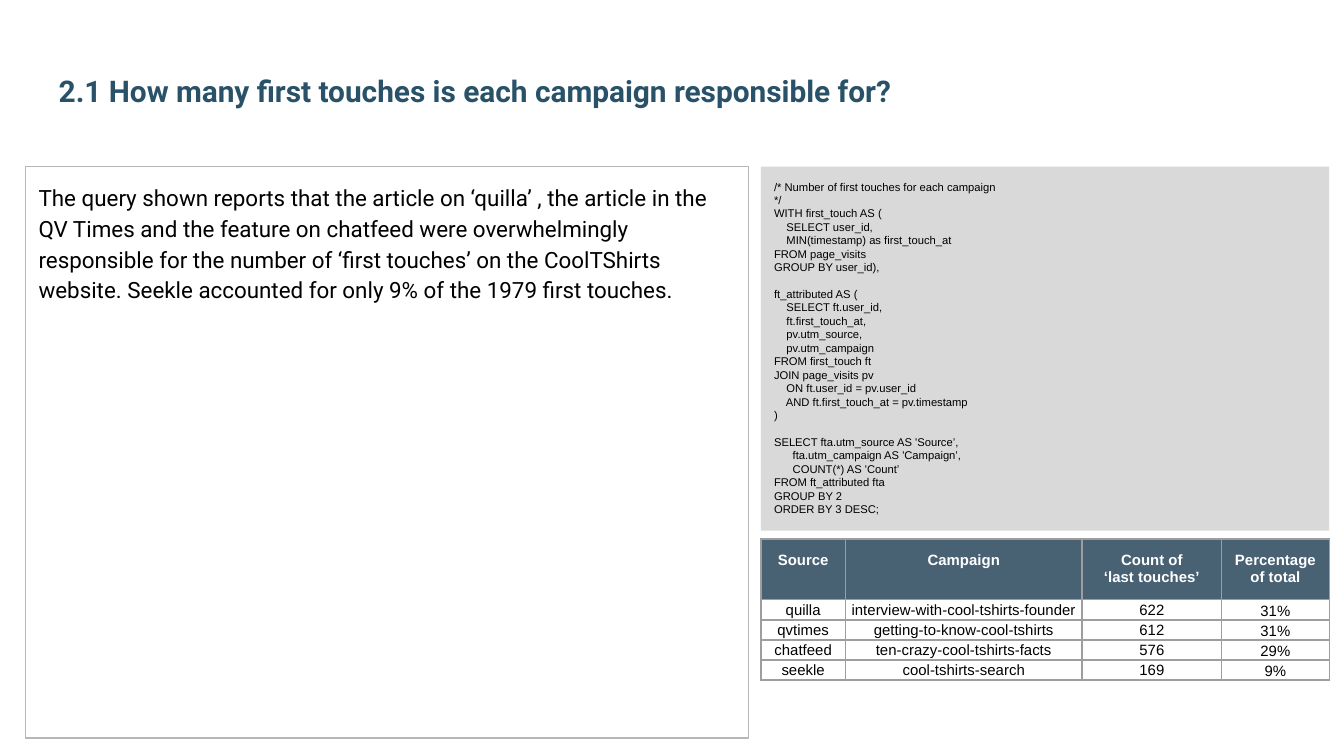
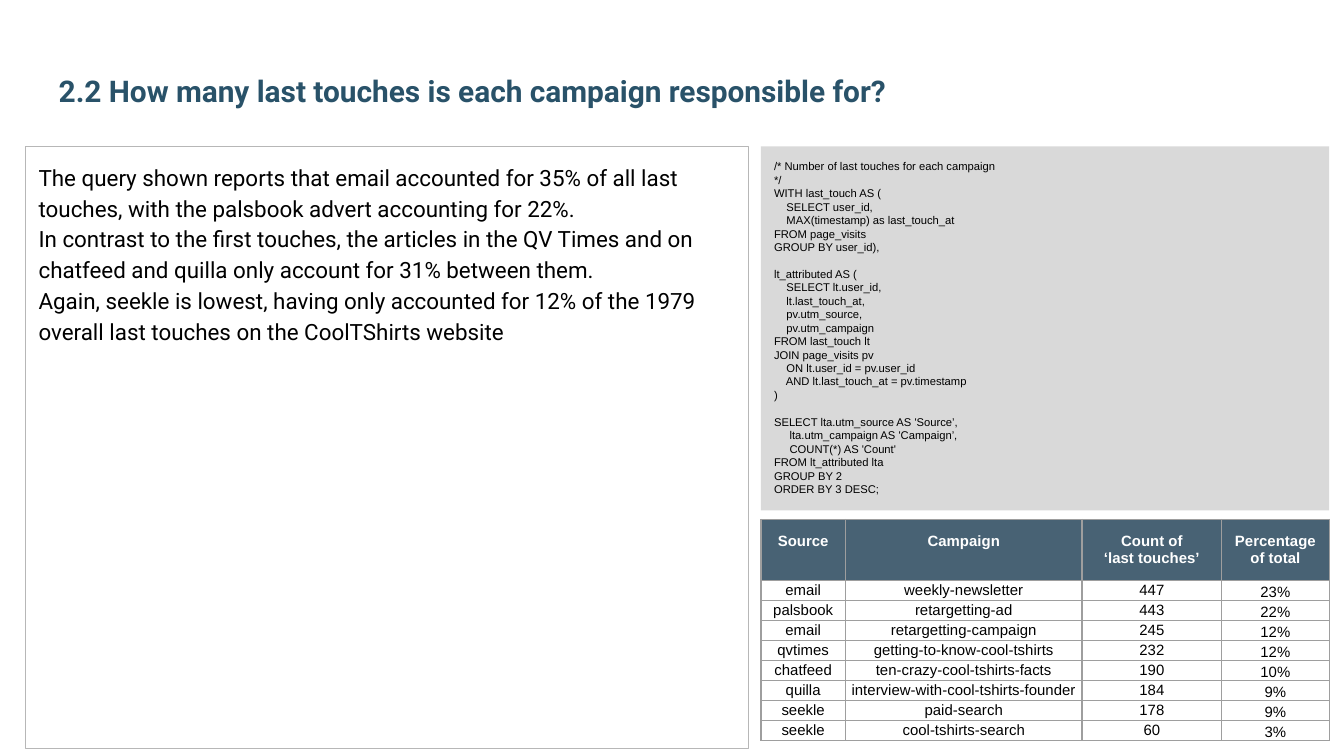
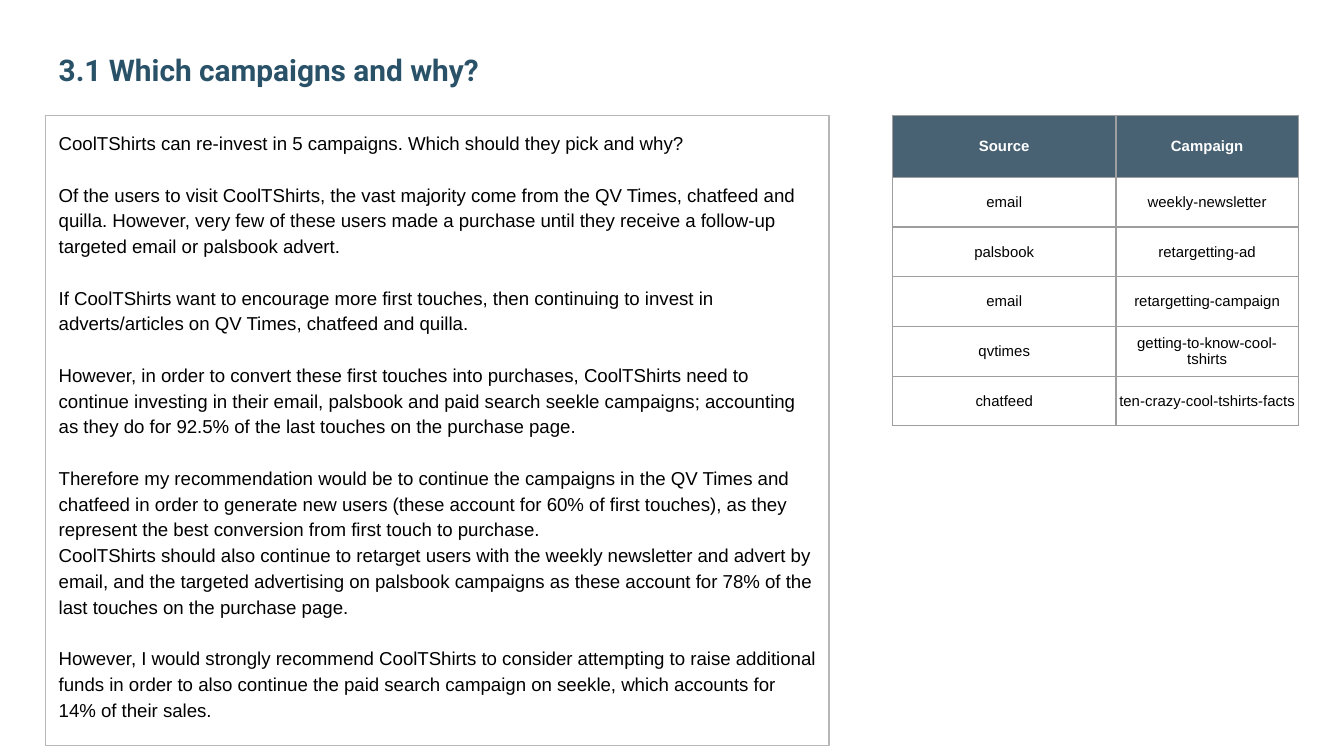
from dataclasses import dataclass

from lxml import etree
from pptx import Presentation
from pptx import util as u
from pptx.dml import color
from pptx.enum import shapes, text
from pptx.oxml import ns

LINE = 1.2  # height of a line of text, in font sizes
INK, WHITE, TITLE = "000000", "FFFFFF", "295269"
CODE, EDGE, HEAD, GRID = "D9D9D9", "B7B7B7", "204056", "9E9E9E"
TOP, MID, LOW = (text.MSO_ANCHOR.TOP, text.MSO_ANCHOR.MIDDLE,
                 text.MSO_ANCHOR.BOTTOM)
LEFT, MIDDLE = text.PP_ALIGN.LEFT, text.PP_ALIGN.CENTER
PAD, THIN = 0.25, 0.03  # insets in cm


@dataclass
class Style:
    size: float
    font: str = "Arial"
    hue: str = INK
    bold: bool = False
    space: float = 1.0
    align: int = LEFT


@dataclass
class Box:
    x: float
    y: float
    w: float
    h: float

    def place(self) -> tuple:
        return tuple(u.Cm(n) for n in (self.x, self.y, self.w, self.h))


@dataclass
class Grid:
    x: float
    y: float
    cols: tuple
    head: float
    row: float
    anchor: int
    rows: list


@dataclass
class Page:
    title: str
    top: float
    prose: str
    style: Style
    frame: Box
    grid: Grid
    code: str = ""


HEADING = Style(16, "Roboto", TITLE, True)
SQL = Style(6)
NOTE = Style(12, "Roboto", space=1.15)
ESSAY = Style(10, space=1.15)
LABEL = Style(8, hue=WHITE, bold=True, align=MIDDLE)
DATA = Style(8, align=MIDDLE)


def rgb(code: str) -> color.RGBColor:
    return color.RGBColor.from_string(code)


def assign(item: object, values: dict) -> None:
    for name, value in values.items():
        setattr(item, name, value)


def inset(item: object, pad: float, low: float) -> None:
    sides = dict.fromkeys(("left", "top", "right"), pad) | {"bottom": low}
    assign(item, {f"margin_{s}": u.Cm(n) for s, n in sides.items()})


def write(frame: object, words: str, style: Style) -> None:
    """One paragraph a line; an empty line becomes space before the next."""
    gap, para = 0, None
    for line in words.strip("\n").split("\n"):
        if not line:
            gap = style.size * LINE * style.space
            continue
        para = frame.add_paragraph() if para else frame.paragraphs[0]
        run = para.add_run()
        run.text = line
        assign(para, {"alignment": style.align, "line_spacing": style.space,
                      "space_before": u.Pt(gap)})
        assign(run.font, {"size": u.Pt(style.size), "name": style.font,
                          "bold": style.bold})
        run.font.color.rgb = rgb(style.hue)
        gap = 0


def head(slide: object, words: str, top: float) -> None:
    item = slide.shapes.title
    spots = Box(0.86, top, 23.67, 1.17).place()
    assign(item, dict(zip(("left", "top", "width", "height"), spots)))
    frame = item.text_frame
    inset(frame, PAD, PAD)
    assign(frame, {"word_wrap": True, "vertical_anchor": LOW,
                   "auto_size": text.MSO_AUTO_SIZE.NONE})
    write(frame, words, HEADING)


def panel(slide: object, box: Box, words: str, style: Style,
          fill: str = "", line: str = "") -> None:
    item = slide.shapes.add_shape(shapes.MSO_SHAPE.RECTANGLE, *box.place())
    item.shadow.inherit = False
    if fill:
        item.fill.solid()
        item.fill.fore_color.rgb = rgb(fill)
    else:
        item.fill.background()
    if line:
        item.line.color.rgb = rgb(line)
        item.line.width = u.Pt(0.75)
    else:
        item.line.fill.background()
    inset(item.text_frame, PAD, PAD)
    assign(item.text_frame, {"word_wrap": True, "vertical_anchor": TOP})
    write(item.text_frame, words, style)


def rule(cell: object) -> None:
    """Thin grey borders on all four sides."""
    props = cell._tc.get_or_add_tcPr()
    for side in "LRTB":
        edge = etree.SubElement(props, ns.qn(f"a:ln{side}"),
                                w=str(u.Pt(0.75)))
        fill = etree.SubElement(edge, ns.qn("a:solidFill"))
        etree.SubElement(fill, ns.qn("a:srgbClr"), val=GRID)


def shade(cell: object) -> None:
    """Header fill, 82% opaque."""
    cell.fill.solid()
    cell.fill.fore_color.rgb = rgb(HEAD)
    tint = cell._tc.tcPr.find(ns.qn("a:solidFill"))[0]
    etree.SubElement(tint, ns.qn("a:alpha"), val="82000")


def table(slide: object, grid: Grid) -> None:
    high = grid.head + grid.row * (len(grid.rows) - 1)
    box = Box(grid.x, grid.y, sum(grid.cols), high)
    item = slide.shapes.add_table(len(grid.rows), len(grid.cols),
                                  *box.place()).table
    assign(item, {"first_row": False, "horz_banding": False})
    for col, wide in zip(item.columns, grid.cols):
        col.width = u.Cm(wide)
    for r, row in enumerate(grid.rows):
        item.rows[r].height = u.Cm(grid.row if r else grid.head)
        for c, words in enumerate(row):
            cell = item.cell(r, c)
            rule(cell)
            if r == 0:
                shade(cell)
                inset(cell, PAD, PAD)
                cell.vertical_anchor = grid.anchor
            else:
                share = c == 3
                cell.fill.background()
                inset(cell, THIN, 0 if share else THIN)
                cell.vertical_anchor = LOW if share else MID
            write(cell.text_frame, words, DATA if r else LABEL)


def query(kind: str, tag: str, pick: str, pad: str, end: str) -> str:
    return f"""
/* Number of {kind} touches for each campaign
*/
WITH {kind}_touch AS (
    SELECT user_id,
    {pick}(timestamp) as {kind}_touch_at
FROM page_visits
GROUP BY user_id),

{tag}_attributed AS (
    SELECT {tag}.user_id,
    {tag}.{kind}_touch_at,
    pv.utm_source,
    pv.utm_campaign
FROM {kind}_touch {tag}
JOIN page_visits pv
    ON {tag}.user_id = pv.user_id
    AND {tag}.{kind}_touch_at = pv.timestamp
)

SELECT {tag}a.utm_source AS 'Source’,
{pad}{tag}a.utm_campaign AS 'Campaign’,
{pad}COUNT(*) AS 'Count{end}
FROM {tag}_attributed {tag}a
GROUP BY 2
ORDER BY 3 DESC;
"""


# Table contents
NAMES = ("Source", "Campaign")
COUNTS = NAMES + ("Count of\n‘last touches’", "Percentage of total")
TALK = ("quilla", "interview-with-cool-tshirts-founder")
KNOW = ("qvtimes", "getting-to-know-cool-tshirts")
FACTS = ("chatfeed", "ten-crazy-cool-tshirts-facts")
FIND = ("seekle", "cool-tshirts-search")
PAID = ("seekle", "paid-search")
NEWS = ("email", "weekly-newsletter")
ADVERT = ("palsbook", "retargetting-ad")
MAIL = ("email", "retargetting-campaign")

FIRST = [COUNTS, TALK + ("622", "31%"), KNOW + ("612", "31%"),
         FACTS + ("576", "29%"), FIND + ("169", "9%")]
LAST = [COUNTS, NEWS + ("447", "23%"), ADVERT + ("443", "22%"),
        MAIL + ("245", "12%"), KNOW + ("232", "12%"), FACTS + ("190", "10%"),
        TALK + ("184", "9%"), PAID + ("178", "9%"), FIND + ("60", "3%")]
PICKS = [NAMES, NEWS, ADVERT, MAIL, KNOW, FACTS]

# Prose
TOUCH1 = (
    "The query shown reports that the article on ‘quilla’ , the article in "
    "the QV Times and the feature on chatfeed were overwhelmingly "
    "responsible for the number of ‘first touches’ on the CoolTShirts "
    "website. Seekle accounted for only 9% of the 1979 first touches.")
TOUCH2 = (
    "The query shown reports that email accounted for 35% of all last "
    "touches, with the palsbook advert accounting for 22%.\n"
    "In contrast to the first touches, the articles in the QV Times and on "
    "chatfeed and quilla only account for 31% between them.\n"
    "Again, seekle is lowest, having only accounted for 12% of the 1979 "
    "overall last touches on the CoolTShirts website")
ADVICE = "\n\n".join([
    "CoolTShirts can re-invest in 5 campaigns. Which should they pick and "
    "why?",
    "Of the users to visit CoolTShirts, the vast majority come from the QV "
    "Times, chatfeed and quilla. However, very few of these users made a "
    "purchase until they receive a follow-up targeted email or palsbook "
    "advert.",
    "If CoolTShirts want to encourage more first touches, then continuing "
    "to invest in adverts/articles on QV Times, chatfeed and quilla.",
    "However, in order to convert these first touches into purchases, "
    "CoolTShirts need to continue investing in their email, palsbook and "
    "paid search seekle campaigns; accounting as they do for 92.5% of the "
    "last touches on the purchase page.",
    "Therefore my recommendation would be to continue the campaigns in the "
    "QV Times and chatfeed in order to generate new users (these account "
    "for 60% of first touches), as they represent the best conversion from "
    "first touch to purchase.\n"
    "CoolTShirts should also continue to retarget users with the weekly "
    "newsletter and advert by email, and the targeted advertising on "
    "palsbook campaigns as these account for 78% of the last touches on the "
    "purchase page.",
    "However, I would strongly recommend CoolTShirts to consider attempting "
    "to raise additional funds in order to also continue the paid search "
    "campaign on seekle, which accounts for 14% of their sales.",
])

# Slides
SIDE, WIDE = 14.38, (1.6, 4.47, 2.64, 2.03)
PAGES = [
    Page("2.1 How many first touches is each campaign responsible for?",
         1.14, TOUCH1, NOTE, Box(0.48, 3.15, 13.67, 10.8),
         Grid(SIDE, 10.19, WIDE, 1.15, 0.37, TOP, FIRST),
         query("first", "ft", "MIN", " " * 6, "’")),
    Page("2.2 How many last touches is each campaign responsible for?",
         1.14, TOUCH2, NOTE, Box(0.48, 2.77, 13.67, 11.38),
         Grid(SIDE, 9.82, WIDE, 1.15, 0.37, TOP, LAST),
         query("last", "lt", "MAX", " " * 5, "'")),
    Page("3.1 Which campaigns and why?",
         0.74, ADVICE, ESSAY, Box(0.86, 2.18, 14.81, 11.91),
         Grid(16.87, 2.18, (4.22, 3.45), 1.17, 0.94, MID, PICKS)),
]


def main() -> None:
    deck = Presentation()
    assign(deck, {"slide_width": u.Cm(25.4), "slide_height": u.Cm(14.29)})
    for page in PAGES:
        slide = deck.slides.add_slide(deck.slide_layouts[5])
        head(slide, page.title, page.top)
        if page.code:
            spot = Box(SIDE, page.frame.y, sum(WIDE), 6.88)
            panel(slide, spot, page.code, SQL, fill=CODE)
        panel(slide, page.frame, page.prose, page.style, line=EDGE)
        table(slide, page.grid)
    deck.save("out.pptx")


if __name__ == "__main__":
    main()
